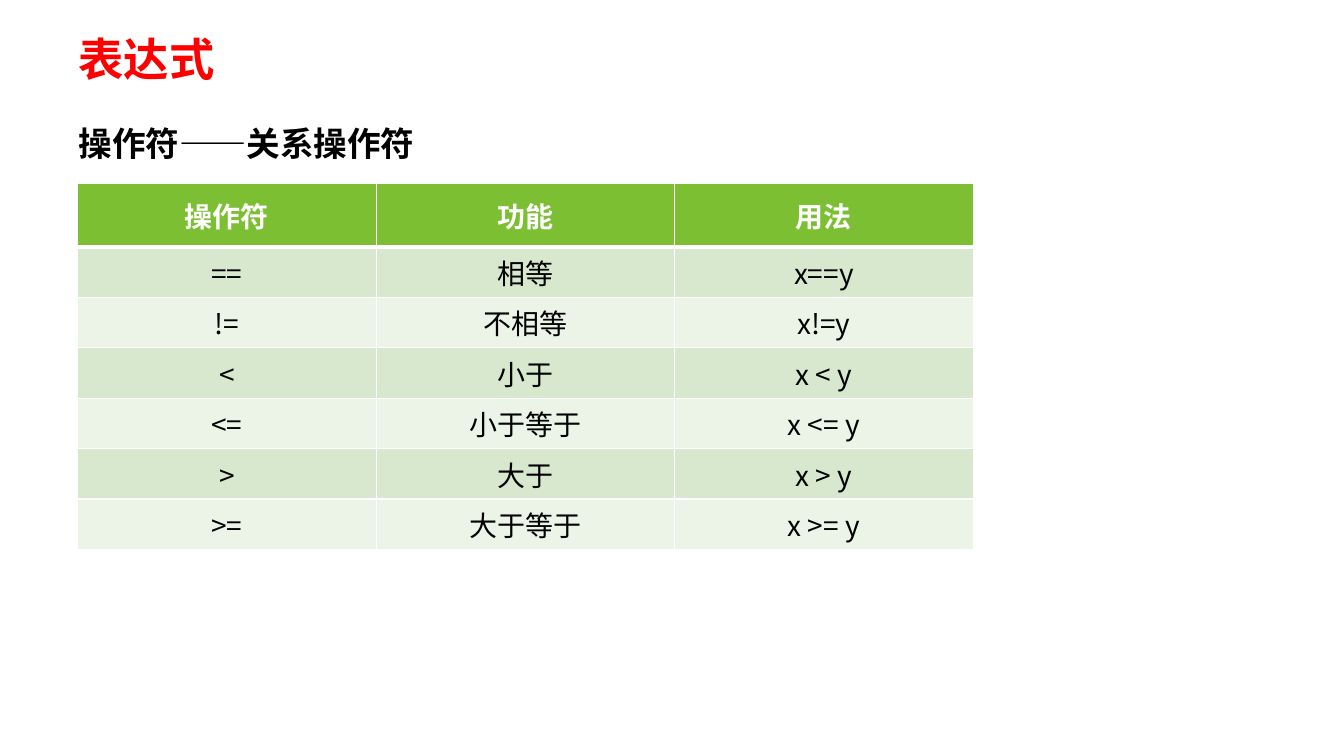
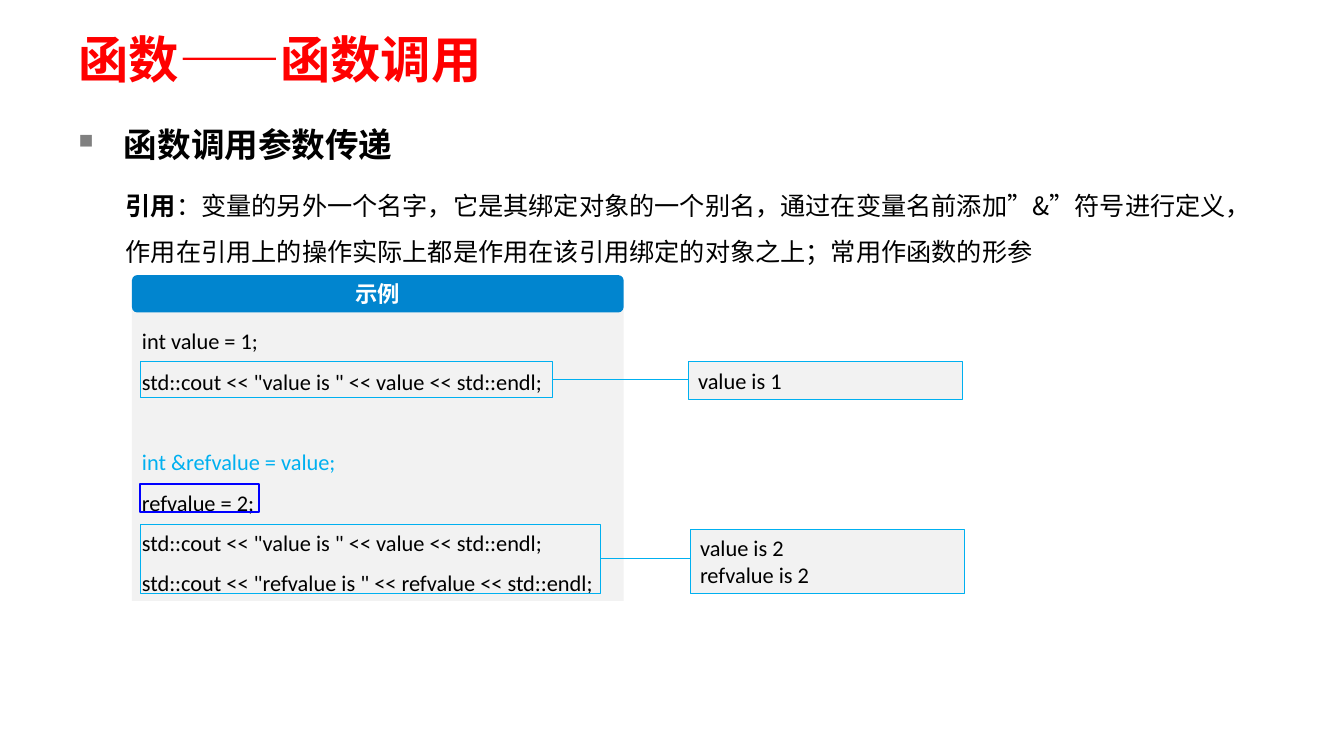
from lxml import etree
from pptx import Presentation
from pptx.dml.color import RGBColor
from pptx.enum.shapes import MSO_CONNECTOR, MSO_SHAPE
from pptx.enum.text import MSO_ANCHOR, PP_ALIGN
from pptx.oxml.ns import qn
from pptx.util import Inches, Pt

RECT, ROUND = MSO_SHAPE.RECTANGLE, MSO_SHAPE.ROUNDED_RECTANGLE
STRAIGHT = MSO_CONNECTOR.STRAIGHT
TOP, MIDDLE = MSO_ANCHOR.TOP, MSO_ANCHOR.MIDDLE
LEFT, CENTER = PP_ALIGN.LEFT, PP_ALIGN.CENTER

CJK, CODE = "Noto Sans CJK SC", "Calibri"
RED, BLACK, WHITE, GREY = "FF0000", "000000", "FFFFFF", "808080"
PALE, CYAN, BLUE, BANNER = "F2F2F2", "00B0F0", "0000FF", "0185CF"
HEADER, BANDS = "7CBF33", ("D7E8CE", "ECF4E8")
BODY_LEFT, BODY_WIDTH = 0.65, 12.13

OPERATORS = [
    ("操作符", "功能", "用法"),
    ("==", "相等", "x==y"),
    ("!=", "不相等", "x!=y"),
    ("<", "小于", "x < y"),
    ("<=", "小于等于", "x <= y"),
    (">", "大于", "x > y"),
    (">=", "大于等于", "x >= y"),
]
# Each line of code: text, colour, space before in points
CODE_LINES = [
    ("int value = 1;", BLACK, 0),
    ('std::cout << "value is " << value << std::endl;', BLACK, 0),
    ("int &refvalue = value;", CYAN, 29),
    ("refvalue = 2;", BLACK, 0),
    ('std::cout << "value is " << value << std::endl;', BLACK, 0),
    ('std::cout << "refvalue is " << refvalue << std::endl;', BLACK, 0),
]


def rgb(color):
    return RGBColor.from_string(color)


def add_run(p, text, size, color=BLACK, bold=False, font=CJK):
    r = p.add_run()
    r.text = text
    r.font.size, r.font.bold, r.font.name = Pt(size), bold, font
    r.font.color.rgb = rgb(color)
    ea = etree.SubElement(r.font._element, qn("a:ea"))
    ea.set("typeface", font)


def next_paragraph(tf, index, spacing=1.0, align=LEFT):
    p = tf.add_paragraph() if index else tf.paragraphs[0]
    p.line_spacing, p.alignment = spacing, align
    return p


def add_text_box(slide, x, y, w, h, anchor=TOP, margins=(0.1, 0.05)):
    box = slide.shapes.add_textbox(Inches(x), Inches(y), Inches(w), Inches(h))
    tf = box.text_frame
    tf.word_wrap, tf.vertical_anchor = True, anchor
    tf.margin_left = tf.margin_right = Inches(margins[0])
    tf.margin_top = tf.margin_bottom = Inches(margins[1])
    return tf


def add_box(slide, x, y, w, h, fill=None, line=None, weight=0.75, kind=RECT):
    sp = slide.shapes.add_shape(kind, Inches(x), Inches(y), Inches(w), Inches(h))
    sp.shadow.inherit = False
    if fill:
        sp.fill.solid()
        sp.fill.fore_color.rgb = rgb(fill)
    else:
        sp.fill.background()
    if line:
        sp.line.color.rgb = rgb(line)
        sp.line.width = Pt(weight)
    else:
        sp.line.fill.background()
    sp.text_frame.word_wrap = True
    sp.text_frame.vertical_anchor = MIDDLE
    return sp


def add_link(slide, x1, x2, y):
    """Draw a level line from a framed piece of code to its output."""
    cxn = slide.shapes.add_connector(
        STRAIGHT, Inches(x1), Inches(y), Inches(x2), Inches(y))
    cxn.line.color.rgb = rgb(CYAN)
    cxn.line.width = Pt(0.75)
    etree.SubElement(cxn._element.spPr, qn("a:effectLst"))


def add_bullet(p):
    pPr = p._p.get_or_add_pPr()
    pPr.set("marL", str(Inches(0.45)))
    pPr.set("indent", str(-Inches(0.45)))
    clr = etree.SubElement(pPr, qn("a:buClr"))
    etree.SubElement(clr, qn("a:srgbClr")).set("val", GREY)
    etree.SubElement(pPr, qn("a:buSzPct")).set("val", "60000")
    etree.SubElement(pPr, qn("a:buChar")).set("char", "■")


def add_headed_slide(prs, title, title_size, heading, anchor=TOP, bullet=False):
    slide = prs.slides.add_slide(prs.slide_layouts[6])
    margins = (0.13, 0.07)
    tf = add_text_box(slide, BODY_LEFT, 0.28, BODY_WIDTH, 0.59, MIDDLE, margins)
    add_run(tf.paragraphs[0], title, title_size, RED, True)
    tf = add_text_box(slide, BODY_LEFT, 0.99, BODY_WIDTH, 0.71, anchor, margins)
    p = tf.paragraphs[0]
    if bullet:
        add_bullet(p)
    p.line_spacing = 1.4
    add_run(p, heading, 24, BLACK, True)
    return slide


def set_borders(cell, bottom):
    tcPr = cell._tc.get_or_add_tcPr()
    widths = {"a:lnL": 1, "a:lnR": 1, "a:lnT": 1, "a:lnB": bottom}
    for tag, width in widths.items():
        ln = etree.SubElement(tcPr, qn(tag))
        ln.set("w", str(Pt(width)))
        fill = etree.SubElement(ln, qn("a:solidFill"))
        etree.SubElement(fill, qn("a:srgbClr")).set("val", WHITE)


def add_operator_table(slide, x, y, w, head_h=0.63, row_h=0.5):
    rows, cols = len(OPERATORS), len(OPERATORS[0])
    height = head_h + row_h * (rows - 1)
    table = slide.shapes.add_table(
        rows, cols, Inches(x), Inches(y), Inches(w), Inches(height)).table
    for col in table.columns:
        col.width = Inches(w / cols)
    for i, values in enumerate(OPERATORS):
        head = i == 0
        table.rows[i].height = Inches(head_h if head else row_h)
        for j, value in enumerate(values):
            cell = table.cell(i, j)
            set_borders(cell, 3 if head else 1)
            cell.fill.solid()
            cell.fill.fore_color.rgb = rgb(HEADER if head else BANDS[(i - 1) % 2])
            cell.vertical_anchor = MIDDLE if head else TOP
            p = next_paragraph(cell.text_frame, 0, align=CENTER)
            add_run(p, value, 20, WHITE if head else BLACK, head)


def add_definition(slide, x, y, w, h):
    tf = add_text_box(slide, x, y, w, h)
    p = next_paragraph(tf, 0, 1.5)
    add_run(p, "引用", 18, bold=True)
    add_run(p, "：变量的另外一个名字，它是其绑定对象的一个别名，"
               "通过在变量名前添加”&”符号进行定义，作用在引用上的操作"
               "实际上都是作用在该引用绑定的对象之上；常用作函数的形参", 18)


def add_output(slide, x, y, w, h, lines):
    tf = add_box(slide, x, y, w, h, PALE, CYAN).text_frame
    for i, line in enumerate(lines):
        add_run(next_paragraph(tf, i), line, 16, font=CODE)


def add_example(slide, x, y, w, h):
    """Place the code panel, its banner, the frames and the outputs."""
    tf = add_box(slide, x, y + 0.34, w, h - 0.34, PALE).text_frame
    for i, (text, color, before) in enumerate(CODE_LINES):
        p = next_paragraph(tf, i, 1.5)
        if before:
            p.space_before = Pt(before)
        add_run(p, text, 16, color, font=CODE)

    banner = add_box(slide, x, y, w, 0.37, BANNER, kind=ROUND)
    banner.adjustments[0] = 0.14
    p = next_paragraph(banner.text_frame, 0, align=CENTER)
    add_run(p, "示例", 16, WHITE, True)

    frame_x = x + 0.08
    add_box(slide, frame_x, y + 2.07, 1.18, 0.28, line=BLUE, weight=1.5)
    # Frame top, width, height; output left, top, height; link height; lines
    pairs = [
        (0.86, 4.09, 0.35, 5.52, 0.86, 0.37, 1.04, ["value is 1"]),
        (2.47, 4.57, 0.69, 5.54, 2.52, 0.64, 2.81,
         ["value is 2", "refvalue is 2"]),
    ]
    for top, fw, fh, out_x, out_y, out_h, link_y, lines in pairs:
        add_box(slide, frame_x, y + top, fw, fh, line=CYAN)
        add_output(slide, x + out_x, y + out_y, 2.72, out_h, lines)
        add_link(slide, frame_x + fw, x + out_x, y + link_y)


def main():
    prs = Presentation()
    prs.slide_width, prs.slide_height = Inches(13.34), Inches(7.5)

    slide = add_headed_slide(prs, "表达式", 32.4, "操作符——关系操作符")
    add_operator_table(slide, 0.77, 1.82, 8.89)

    slide = add_headed_slide(prs, "函数——函数调用", 36, "函数调用参数传递",
                             MIDDLE, bullet=True)
    add_definition(slide, 1.15, 1.69, 11.5, 1.01)
    add_example(slide, 1.31, 2.73, 4.88, 3.23)

    prs.save("out.pptx")


if __name__ == "__main__":
    main()
